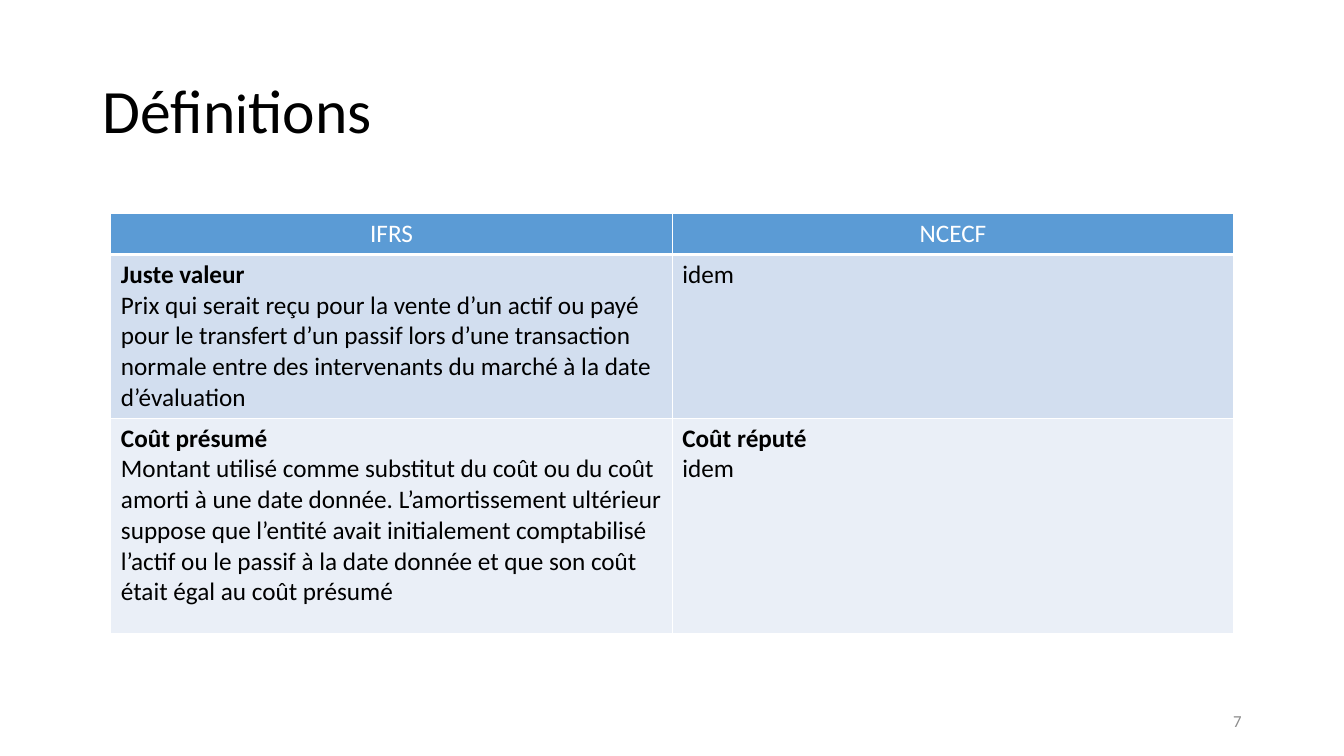
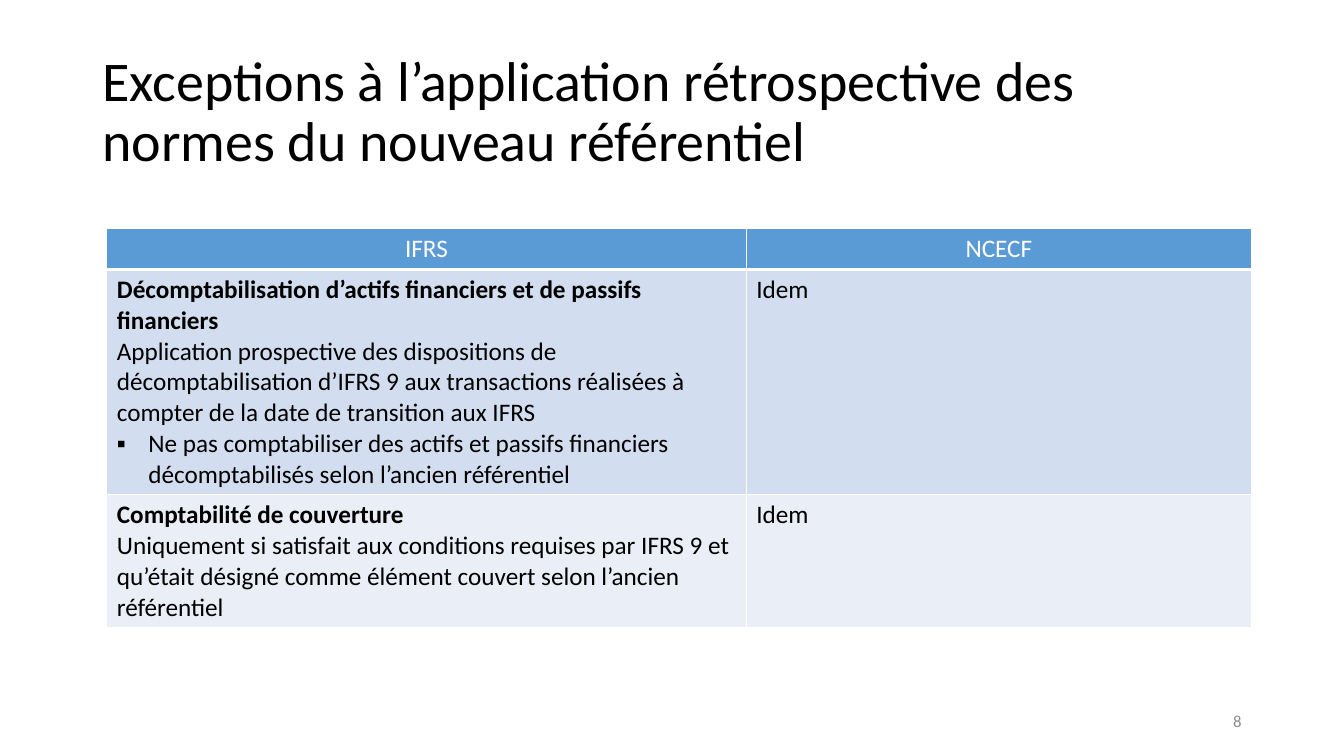
from lxml.etree import SubElement
from pptx import Presentation
from pptx.dml.color import RGBColor
from pptx.enum.text import MSO_ANCHOR, MSO_AUTO_SIZE, PP_ALIGN
from pptx.oxml.ns import qn
from pptx.util import Pt


def color(hex_value):
    return RGBColor.from_string(hex_value)


class Deck:
    FONT = "Calibri"
    BLACK, WHITE, GRAY = "000000", "FFFFFF", "8C8C8C"
    ROW_FILLS = ("5B9BD5", "D2DEEF", "EAEFF7")
    BULLET = "▪"
    BULLET_INDENT = Pt(22.5)
    HEADINGS = ("IFRS", "NCECF")

    def __init__(self):
        self.presentation = Presentation()
        self.presentation.slide_width = Pt(960)
        self.presentation.slide_height = Pt(540)
        self.slide = None

    def style(self, font, **formats):
        values = {"name": self.FONT, "bold": False, "size": Pt(18), **formats}
        for attribute, value in values.items():
            if attribute == "hex_value":
                font.color.rgb = color(value)
            else:
                setattr(font, attribute, value)

    def add_slide(self, number, *title_parts):
        self.slide = self.presentation.slides.add_slide(self.presentation.slide_layouts[5])
        self.add_title(title_parts)
        self.add_number(number)

    def add_title(self, title_parts):
        title = self.slide.shapes.title
        position = {"left": 66, "top": 28.75, "width": 828, "height": 104.4}
        for attribute, value in position.items():
            setattr(title, attribute, Pt(value))
        frame = title.text_frame
        frame.auto_size = MSO_AUTO_SIZE.NONE
        frame.vertical_anchor = MSO_ANCHOR.MIDDLE
        paragraph = frame.paragraphs[0]
        paragraph.alignment = PP_ALIGN.LEFT
        paragraph.line_spacing = 0.9
        for words, size in title_parts:
            run = paragraph.add_run()
            run.text = words
            self.style(run.font, size=Pt(size), hex_value=self.BLACK)

    def add_number(self, number):
        footer = self.slide.shapes.add_textbox(Pt(678), Pt(500.5), Pt(216), Pt(28.75))
        frame = footer.text_frame
        frame.word_wrap = True
        frame.vertical_anchor = MSO_ANCHOR.MIDDLE
        paragraph = frame.paragraphs[0]
        paragraph.text = str(number)
        paragraph.alignment = PP_ALIGN.RIGHT
        self.style(paragraph.font, size=Pt(12), hex_value=self.GRAY)

    def add_comparison(self, left, top, widths, heights, body):
        rows = [[[heading] for heading in self.HEADINGS], *body]
        table = self.slide.shapes.add_table(
            len(rows), len(widths), Pt(left), Pt(top), Pt(sum(widths)), Pt(sum(heights))
        ).table
        for column, width in zip(table.columns, widths):
            column.width = Pt(width)
        for row, height in zip(table.rows, heights):
            row.height = Pt(height)
        for row_index, row in enumerate(rows):
            for column_index, paragraphs in enumerate(row):
                self.fill_cell(table.cell(row_index, column_index), row_index, paragraphs)

    def fill_cell(self, cell, row_index, paragraphs):
        is_header = row_index == 0
        self.add_borders(cell, 3 if is_header else 1)
        cell.fill.solid()
        cell.fill.fore_color.rgb = color(self.ROW_FILLS[row_index])
        for index, words in enumerate(paragraphs):
            frame = cell.text_frame
            paragraph = frame.add_paragraph() if index else frame.paragraphs[0]
            paragraph.text = words.removeprefix(self.BULLET)
            paragraph.alignment = PP_ALIGN.CENTER if is_header else PP_ALIGN.LEFT
            if words.startswith(self.BULLET):
                self.add_bullet(paragraph)
            is_term = index == 0 and len(paragraphs) > 1
            self.style(
                paragraph.runs[0].font,
                bold=is_term,
                hex_value=self.WHITE if is_header else self.BLACK,
            )

    def add_borders(self, cell, bottom_width):
        properties = cell._tc.get_or_add_tcPr()
        for side, width in (("L", 1), ("R", 1), ("T", 1), ("B", bottom_width)):
            line = SubElement(properties, qn(f"a:ln{side}"), w=str(Pt(width)))
            fill = SubElement(line, qn("a:solidFill"))
            SubElement(fill, qn("a:srgbClr"), val=self.WHITE)

    def add_bullet(self, paragraph):
        properties = paragraph._p.get_or_add_pPr()
        properties.set("marL", str(self.BULLET_INDENT))
        properties.set("indent", str(-self.BULLET_INDENT))
        SubElement(properties, qn("a:buFont"), typeface=self.FONT)
        SubElement(properties, qn("a:buChar"), char=self.BULLET)

    def save(self):
        self.presentation.save("out.pptx")


def main():
    deck = Deck()

    deck.add_slide(7, ("Défin", 44), ("i", 40), ("tions", 44))
    deck.add_comparison(79.2, 152.5, (401, 401), (29.2, 117, 154), [
        [
            [
                "Juste valeur",
                "Prix qui serait reçu pour la vente d’un actif ou payé pour le transfert "
                "d’un passif lors d’une transaction normale entre des intervenants du "
                "marché à la date d’évaluation",
            ],
            ["idem"],
        ],
        [
            [
                "Coût présumé",
                "Montant utilisé comme substitut du coût ou du coût amorti à une date "
                "donnée. L’amortissement ultérieur suppose que l’entité avait initialement "
                "comptabilisé l’actif ou le passif à la date donnée et que son coût était "
                "égal au coût présumé",
            ],
            ["Coût réputé", "idem"],
        ],
    ])

    deck.add_slide(8, (
        "Exceptions à l’application rétrospective des normes du nouveau référentiel", 40
    ))
    deck.add_comparison(76.3, 163.4, (456.7, 361), (29.2, 160.8, 95), [
        [
            [
                "Décomptabilisation d’actifs financiers et de passifs financiers",
                "Application prospective des dispositions de décomptabilisation d’IFRS 9 "
                "aux transactions réalisées à compter de la date de transition aux IFRS",
                "▪Ne pas comptabiliser des actifs et passifs financiers décomptabilisés "
                "selon l’ancien référentiel",
            ],
            ["Idem"],
        ],
        [
            [
                "Comptabilité de couverture",
                "Uniquement si satisfait aux conditions requises par IFRS 9 et qu’était "
                "désigné comme élément couvert selon l’ancien référentiel",
            ],
            ["Idem"],
        ],
    ])

    deck.save()


if __name__ == "__main__":
    main()
